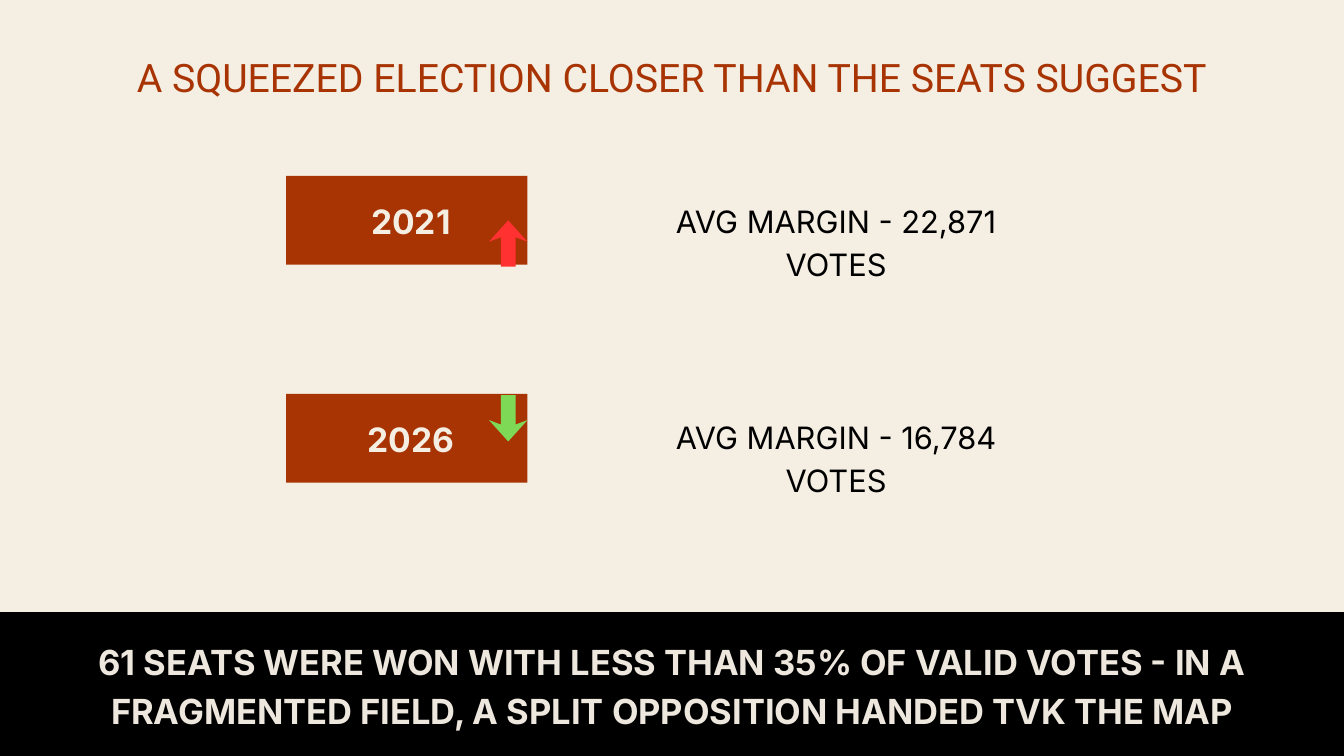
from dataclasses import dataclass

from pptx import Presentation
from pptx import util as u
from pptx.dml.color import RGBColor
from pptx.enum import shapes, text


@dataclass(frozen=True)
class Theme:
    cream: str = "F4EEE3"
    pale: str = "EDE7DD"
    rust: str = "A83303"
    black: str = "000000"
    red: str = "FF3131"
    green: str = "7ED957"
    title_size: float = 42
    band_size: float = 37
    year_size: float = 36
    margin_size: float = 33
    title_font: str = "Roboto"
    body_font: str = "Inter"


theme = Theme()


def write(shape, words, size, color, font=theme.body_font, bold=False, left=0, top=0):
    """Centre the words from the top, with a line height of 1.4 times the size."""
    frame = shape.text_frame
    frame.word_wrap = True
    frame.auto_size = text.MSO_AUTO_SIZE.NONE
    frame.vertical_anchor = text.MSO_ANCHOR.TOP
    frame.margin_left, frame.margin_top = u.Cm(left), u.Cm(top)
    frame.margin_right = frame.margin_bottom = 0
    para = frame.paragraphs[0]
    para.alignment = text.PP_ALIGN.CENTER
    para.line_spacing = u.Pt(round(size * 1.4, 1))
    para.space_before = u.Pt(0)
    span = para.add_run()
    span.text = words
    span.font.name, span.font.size, span.font.bold = font, u.Pt(size), bold
    span.font.color.rgb = RGBColor.from_string(color)


def paint(shape, color):
    shape.shadow.inherit = False
    shape.fill.solid()
    shape.fill.fore_color.rgb = RGBColor.from_string(color)
    shape.line.fill.background()


deck = Presentation()
deck.slide_width, deck.slide_height = u.Cm(50.8), u.Cm(28.58)
page = deck.slides.add_slide(deck.slide_layouts[5])
page.background.fill.solid()
page.background.fill.fore_color.rgb = RGBColor.from_string(theme.cream)

title = page.shapes.title
title.left, title.top = u.Cm(0), u.Cm(1.7)
title.width, title.height = deck.slide_width, u.Cm(2.03)
write(title, "A SQUEEZED ELECTION CLOSER THAN THE SEATS SUGGEST",
      theme.title_size, theme.rust, font=theme.title_font)

band_top = u.Cm(23.14)
band = page.shapes.add_shape(shapes.MSO_SHAPE.RECTANGLE, 0, band_top,
                             deck.slide_width, deck.slide_height - band_top)
paint(band, theme.black)
write(band, "61 SEATS WERE WON WITH LESS THAN 35% OF VALID VOTES - IN A "
      "FRAGMENTED FIELD, A SPLIT OPPOSITION HANDED TVK THE MAP",
      theme.band_size, theme.pale, bold=True, top=0.84)

# Arrow outline as (across, along) in cm, measured from the tip
arrow_outline = [(0, 0), (0.73, 0.81), (0.28, 0.64), (0.28, 1.75),
                 (-0.28, 1.75), (-0.28, 0.64), (-0.73, 0.81)]
arrow_center = 19.21

# Year, average margin, bar top, margin top, arrow tip, arrow direction, arrow colour
elections = [
    ("2021", "22,871", 6.65, 7.42, 8.33, 1, theme.red),
    ("2026", "16,784", 14.89, 15.6, 16.69, -1, theme.green),
]
for year, votes, bar_top, margin_top, tip, direction, arrow_color in elections:
    bar = page.shapes.add_shape(shapes.MSO_SHAPE.RECTANGLE, u.Cm(10.82), u.Cm(bar_top),
                                u.Cm(9.12), u.Cm(3.36))
    paint(bar, theme.rust)
    write(bar, year, theme.year_size, theme.cream, bold=True, left=0.3, top=0.7)

    box = page.shapes.add_textbox(u.Cm(23.51), u.Cm(margin_top), u.Cm(16.19), u.Cm(1.6))
    write(box, f"AVG MARGIN - {votes} VOTES", theme.margin_size, theme.black)

    points = [(u.Cm(arrow_center + across), u.Cm(tip + direction * along))
              for across, along in arrow_outline]
    builder = page.shapes.build_freeform(*points[0])
    builder.add_line_segments(points[1:], close=True)
    paint(builder.convert_to_shape(), arrow_color)

deck.save("out.pptx")
